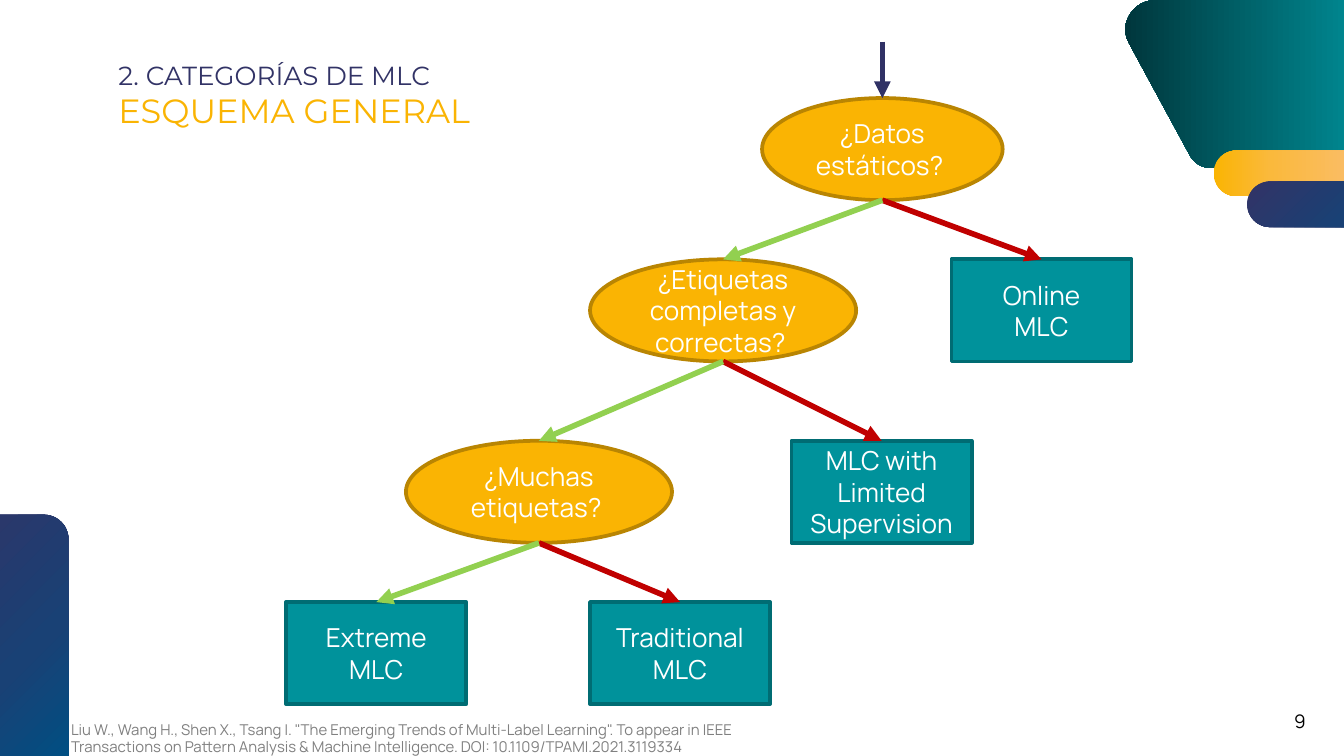
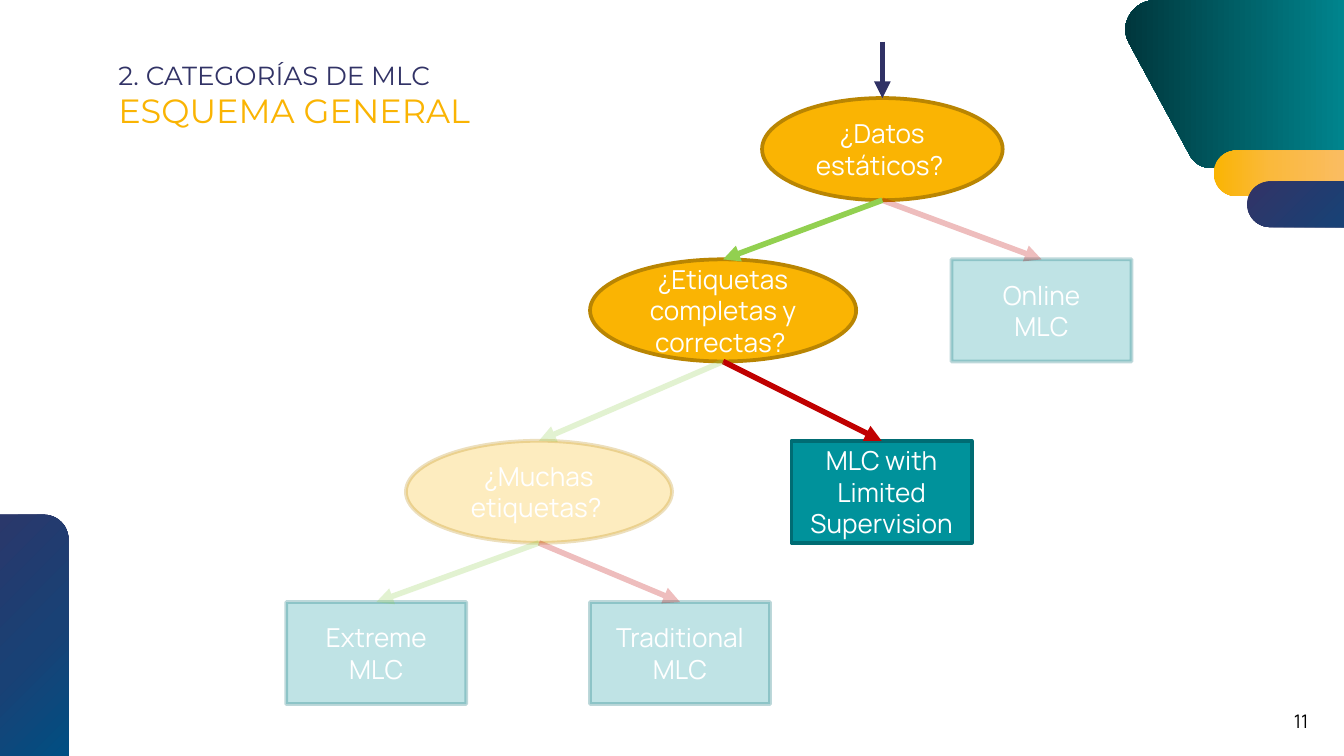
import pptx
import pptx.util
import pptx.dml.color
import pptx.enum.dml
import pptx.enum.shapes
import pptx.enum.text
import pptx.oxml.ns
import lxml.etree
from dataclasses import dataclass

TITLE = ("2. CATEGORÍAS DE MLC", "ESQUEMA GENERAL")
CITE = (
    'Liu W., Wang H., Shen X., Tsang I. "The Emerging Trends of Multi-Label '
    'Learning". To appear in IEEE Transactions on Pattern Analysis & Machine '
    "Intelligence. DOI: 10.1109/TPAMI.2021.3119334"
)

NODES = {
    "static": ("ask", 567, 73, 179, "¿Datos estáticos? "),
    "labels": ("ask", 439, 193, 198, "¿Etiquetas completas y correctas? "),
    "many": ("ask", 302, 328, 198, "¿Muchas etiquetas? "),
    "trad": ("type", 439, 448, 134, "Traditional MLC"),
    "extreme": ("type", 213, 448, 134, "Extreme\nMLC"),
    "online": ("type", 708, 193, 134, "Online\nMLC"),
    "limit": ("type", 589, 328, 134, "MLC with Limited Supervision"),
}
NODE_H = 76
ENTRY = ("static", 31)

SPLITS = [
    ("static", "labels", "online"),
    ("labels", "many", "limit"),
    ("many", "extreme", "trad"),
]

SLIDES = [
    {"page": "9", "faint": (), "cite": CITE},
    {"page": "11", "faint": ("many", "trad", "extreme", "online"), "cite": None},
]


@dataclass(frozen=True)
class Theme:
    head: str = "Montserrat"
    body: str = "Manrope"
    navy: str = "323366"
    entry: str = "303165"
    gold: str = "FAB403"
    teal: str = "00929B"
    white: str = "FFFFFF"
    black: str = "000000"
    grey: str = "808080"
    yes: str = "92D050"
    no: str = "C00000"
    gold_edge: str = "B98502"
    teal_edge: str = "006C73"
    kicker: int = 14
    title: int = 18
    node: int = 14
    page: int = 10
    cite: int = 8
    edge: int = 2
    arrow: int = 3
    faint: int = 25


T = Theme()
SCALE = 9144
KIND = pptx.enum.shapes.MSO_SHAPE
FIT = pptx.enum.text.MSO_AUTO_SIZE
MIDDLE = pptx.enum.text.MSO_ANCHOR.MIDDLE
ALIGN = pptx.enum.text.PP_ALIGN
qn = pptx.oxml.ns.qn

STYLES = {
    "ask": (KIND.OVAL, T.gold, T.gold_edge),
    "type": (KIND.RECTANGLE, T.teal, T.teal_edge),
}
SEA = [(0, T.teal), (100, "00373D")]
SUN = [(0, T.gold), (34, "FAB93C"), (100, "FABE75")]
NIGHT = [(0, T.navy), (63, "194175"), (100, "004F83")]
BANDS = [
    (KIND.ROUNDED_RECTANGLE, (903, 112, 124, 34), (0.5,), SUN, 0),
    (KIND.ROUNDED_RECTANGLE, (928, 135, 124, 34), (0.5,), NIGHT, 45),
    (KIND.ROUND_2_SAME_RECTANGLE, (-57, 383, 108, 183), (0.17, 0), NIGHT, 45),
]
CORNERS = [
    ((885, 115), (888, 121), (894, 125), (901, 125)),
    ((1028, 125),),
    ((1028, 0),),
    ((860, 0), (843, 0), (832, 18), (840, 32)),
]


def px(*vals):
    return [pptx.util.Emu(round(v * SCALE)) for v in vals]


def rgb(hue):
    return pptx.dml.color.RGBColor.from_string(hue)


def style(run, face, size, hue):
    run.font.name = face
    run.font.size = pptx.util.Pt(size)
    run.font.color.rgb = rgb(hue)


def write(shape, text, size, hue, align=ALIGN.LEFT):
    shape.text_frame.text = text
    for para in shape.text_frame.paragraphs:
        para.alignment = align
        for run in para.runs:
            style(run, T.body, size, hue)


def curve(pts, steps=12):
    if len(pts) == 1:
        return list(pts)
    a, b, c, d = pts
    out = []
    for i in range(steps + 1):
        t = i / steps
        u = 1 - t
        out.append(tuple(
            u**3 * a[k] + 3 * u * u * t * b[k] + 3 * u * t * t * c[k] + t**3 * d[k]
            for k in (0, 1)
        ))
    return out


def shade(shape, stops, angle):
    shape.shadow.inherit = False
    shape.line.fill.background()
    shape.fill.gradient()
    grad = shape.element.spPr.find(qn("a:gradFill"))
    group = grad.find(qn("a:gsLst"))
    for stop in list(group):
        group.remove(stop)
    for pos, hue in stops:
        stop = lxml.etree.SubElement(group, qn("a:gs"), pos=str(pos * 1000))
        lxml.etree.SubElement(stop, qn("a:srgbClr"), val=hue)
    grad.find(qn("a:lin")).set("ang", str(angle * 60000))


def fade(shape):
    for hue in list(shape.element.spPr.iter(qn("a:srgbClr"))):
        lxml.etree.SubElement(hue, qn("a:alpha"), val=str(T.faint * 1000))


def dress(layout, slide):
    for holder in list(layout.placeholders):
        if holder.placeholder_format.idx:
            layout.shapes.element.remove(holder.element)
    dots = [px(*dot) for part in CORNERS for dot in curve(part)]
    build = slide.shapes.build_freeform(*dots[0], scale=1.0)
    build.add_line_segments(dots[1:], close=True)
    sail = build.convert_to_shape()
    shade(sail, SEA, 180)
    parts = [sail]
    for kind, box, bends, stops, angle in BANDS:
        band = slide.shapes.add_shape(kind, *px(*box))
        for i, bend in enumerate(bends):
            band.adjustments[i] = bend
        shade(band, stops, angle)
        parts.append(band)
    for part in parts:
        layout.shapes.element.append(part.element)


def add_title(slide):
    title = slide.shapes.title
    title.left, title.top, title.width, title.height = px(78, 39, 844, 63)
    frame = title.text_frame
    frame.text = "\v".join(TITLE)
    frame.auto_size = FIT.NONE
    frame.vertical_anchor = MIDDLE
    frame.margin_left, frame.margin_right, frame.margin_top, frame.margin_bottom = px(
        10, 10, 10, 10)
    para = frame.paragraphs[0]
    para.alignment = ALIGN.LEFT
    style(para.runs[0], T.head, T.kicker, T.navy)
    style(para.runs[1], T.head, T.title, T.gold)


def add_node(slide, kind, left, top, width, text):
    form, fill, edge = STYLES[kind]
    node = slide.shapes.add_shape(form, *px(left, top, width, NODE_H))
    node.shadow.inherit = False
    node.fill.solid()
    node.fill.fore_color.rgb = rgb(fill)
    node.line.color.rgb = rgb(edge)
    node.line.width = pptx.util.Pt(T.edge)
    node.text_frame.vertical_anchor = MIDDLE
    write(node, text, T.node, T.white, ALIGN.CENTER)
    return node


def add_arrow(slide, x, y, node, hue):
    arrow = slide.shapes.add_connector(
        pptx.enum.shapes.MSO_CONNECTOR.STRAIGHT, x, y, x, node.top)
    arrow.end_connect(node, 0)
    arrow.line.color.rgb = rgb(hue)
    arrow.line.width = pptx.util.Pt(T.arrow)
    props = arrow.element.spPr
    lxml.etree.SubElement(props.find(qn("a:ln")), qn("a:tailEnd"), type="triangle")
    lxml.etree.SubElement(props, qn("a:effectLst"))
    return arrow


def mid(node):
    return node.left + node.width // 2


def add_tree(slide, faint):
    nodes = {key: add_node(slide, *data) for key, data in NODES.items()}
    for key in faint:
        fade(nodes[key])
    first = nodes[ENTRY[0]]
    add_arrow(slide, mid(first), px(ENTRY[1])[0], first, T.entry)
    for key, yes, no in SPLITS:
        start = nodes[key]
        for goal, hue in ((no, T.no), (yes, T.yes)):
            arrow = add_arrow(
                slide, mid(start), start.top + start.height, nodes[goal], hue)
            if goal in faint:
                fade(arrow)


def add_note(slide, box, text, size, hue, wrap):
    note = slide.shapes.add_textbox(*px(*box))
    note.text_frame.word_wrap = wrap
    note.text_frame.auto_size = FIT.SHAPE_TO_FIT_TEXT
    write(note, text, size, hue)


def main():
    deck = pptx.Presentation()
    deck.slide_width, deck.slide_height = px(1000, 562.5)
    layout = deck.slide_layouts[5]
    for i, data in enumerate(SLIDES):
        slide = deck.slides.add_slide(layout)
        if i == 0:
            dress(layout, slide)
        add_title(slide)
        add_tree(slide, data["faint"])
        if data["cite"]:
            add_note(slide, (43, 531, 555, 37), data["cite"], T.cite, T.grey, True)
        page = data["page"]
        add_note(slide, (953, 523, 23 + 5 * len(page), 27), page, T.page, T.black, False)
    deck.save("out.pptx")


if __name__ == "__main__":
    main()
